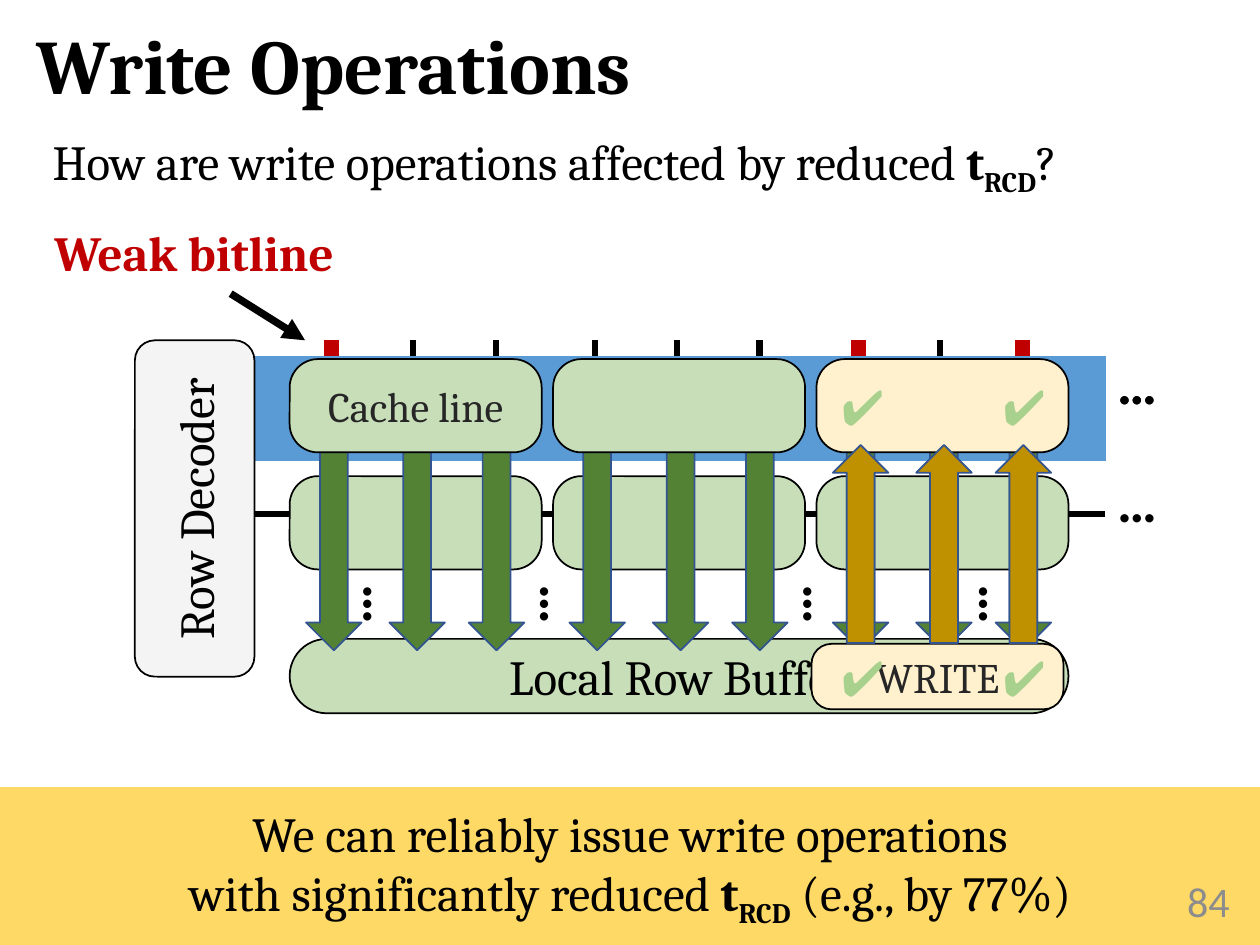
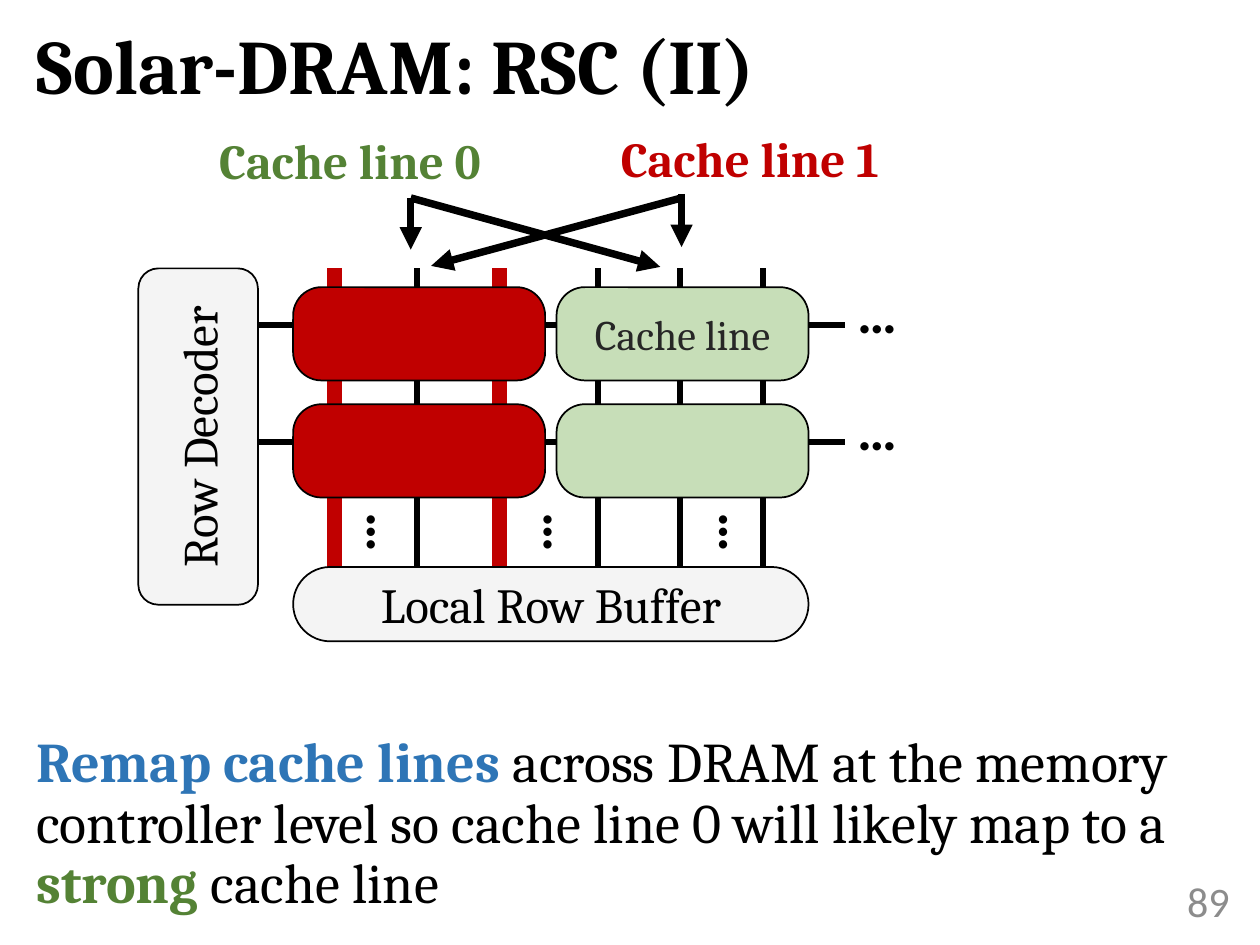
from lxml import etree
from pptx import Presentation
from pptx.dml.color import RGBColor
from pptx.enum.shapes import MSO_CONNECTOR, MSO_SHAPE
from pptx.enum.text import MSO_ANCHOR, MSO_AUTO_SIZE, PP_ALIGN
from pptx.oxml.ns import qn
from pptx.util import Cm, Pt

LEFT, CENTER, RIGHT = PP_ALIGN.LEFT, PP_ALIGN.CENTER, PP_ALIGN.RIGHT
TOP, MIDDLE = MSO_ANCHOR.TOP, MSO_ANCHOR.MIDDLE
RECT, ROUND, ARROW = MSO_SHAPE.RECTANGLE, MSO_SHAPE.ROUNDED_RECTANGLE, MSO_SHAPE.DOWN_ARROW
STRAIGHT = MSO_CONNECTOR.STRAIGHT

BLACK, INK, GREY_TEXT = "000000", "262626", "8C8C8C"
RED, GREEN, BLUE, GOLD = "C00000", "548235", "2E75B6", "BF9000"
PALE_GREEN, PALE_GREY, CREAM = "C7DEB8", "F4F4F4", "FFF1CE"
WORDLINE_BLUE, ARROW_EDGE, CHECK_GREEN, BANNER = "5B9BD5", "325491", "A9D18E", "FFD966"
SERIF, SANS = "Cambria", "Calibri"

# Subarray geometry in cm, measured from the decoder's top left corner
DECODER_W, DECODER_H = 2.41, 6.78
CELL_X, CELL_Y, CELL_W, CELL_H = 3.12, 0.38, 5.08, 1.88
COL_PITCH, ROW_PITCH = 5.31, 2.36
BIT_OFFSETS = (0.84, 2.49, 4.16)
ARROW_CENTERS = (0.89, 2.57, 4.17)
ARROW_W, ARROW_H = 1.12, 3.99
WORDLINE_Y = 1.14
BUFFER_Y, BUFFER_H = 6.02, 1.5
CELL_ROUNDING = 0.304


def rgb(color):
    return RGBColor.from_string(color)


def cms(*values):
    return [Cm(v) for v in values]


def cell_x(col):
    return CELL_X + col * COL_PITCH


def wire_end(cols):
    return cell_x(cols) + 0.5


# Basic parts
def write(tf, lines, size, color=BLACK, font=SERIF, bold=False, align=LEFT,
          anchor=TOP, spacing=None):
    """Each line is a list of (text, format) pairs; a format may hold color, bold, sub."""
    tf.vertical_anchor = anchor
    for i, runs in enumerate(lines):
        p = tf.paragraphs[0] if i == 0 else tf.add_paragraph()
        p.alignment = align
        p.space_before = Pt(0)
        if spacing:
            p.line_spacing = spacing
        for text, fmt in runs:
            r = p.add_run()
            r.text = text
            r.font.size, r.font.name = Pt(size), font
            r.font.bold = fmt.get("bold", bold)
            r.font.color.rgb = rgb(fmt.get("color", color))
            if fmt.get("sub"):
                r._r.get_or_add_rPr().set("baseline", "-25000")


def text_box(sl, box, lines, size, wrap=True, rotation=0, **style):
    sp = sl.shapes.add_textbox(*cms(*box))
    sp.rotation = rotation
    sp.text_frame.word_wrap = wrap
    write(sp.text_frame, lines, size, **style)


def label(sl, box, text, size, **style):
    text_box(sl, box, [[(text, {})]], size, wrap=False, **style)


def block(sl, kind, box, fill, edge=BLACK, rounding=None, rotation=0,
          lines=None, size=28, color=BLACK):
    sp = sl.shapes.add_shape(kind, *cms(*box))
    sp.shadow.inherit = False
    sp.fill.solid()
    sp.fill.fore_color.rgb = rgb(fill)
    sp.line.color.rgb = rgb(edge)
    sp.line.width = Pt(1)
    sp.rotation = rotation
    if rounding is not None:
        sp.adjustments[0] = rounding
    if lines:
        write(sp.text_frame, lines, size, color, align=CENTER, anchor=MIDDLE)


def line(sl, start, end, color=BLACK, width=3.5, arrow=False):
    cx = sl.shapes.add_connector(STRAIGHT, *cms(*start, *end))
    cx.line.color.rgb = rgb(color)
    cx.line.width = Pt(width)
    if arrow:
        etree.SubElement(cx.line._get_or_add_ln(), qn("a:tailEnd"), type="triangle")
    etree.SubElement(cx._element.spPr, qn("a:effectLst"))


def ellipsis(sl, x, y, rotation=0):
    label(sl, (x, y, 1.32, 1.63), "…", 32, font=SANS, bold=True, rotation=rotation)


# Slide frame: title and page number
def new_slide(prs, title, number):
    sl = prs.slides.add_slide(prs.slide_layouts[5])
    sp = sl.shapes.title
    sp.left, sp.top, sp.width, sp.height = cms(0.48, 0.38, 24.18, 2.06)
    sp.text_frame.auto_size = MSO_AUTO_SIZE.NONE
    write(sp.text_frame, [[(title, {})]], 44, bold=True, anchor=MIDDLE, spacing=0.9)
    return sl, number


def page_number(sl, number):
    text_box(sl, (17.93, 17.65, 7.11, 1.02), [[(str(number), {})]], 24,
             color=GREY_TEXT, font=SANS, align=RIGHT, anchor=MIDDLE)


# Subarray parts
def wires(sl, x, y, cols, weak):
    for row in range(2):
        wy = y + WORDLINE_Y + row * ROW_PITCH
        line(sl, (x + DECODER_W, wy), (x + wire_end(cols), wy))
        ellipsis(sl, x + wire_end(cols), wy - 1.09)
    for col in range(cols):
        for bit, offset in enumerate(BIT_OFFSETS):
            bx = x + cell_x(col) + offset
            color, width = (RED, 8.5) if (col, bit) in weak else (BLACK, 3.5)
            line(sl, (bx, y), (bx, y + BUFFER_Y + 0.3), color, width)


def more_rows(sl, x, y, cols):
    gaps = [7.95 + k * COL_PITCH for k in range(cols - 1)]
    for dx in [4.39, *gaps, 0.87 + cols * COL_PITCH]:
        ellipsis(sl, x + dx, y + 4.52, rotation=90)


def cell_row(sl, x, y, row, fills, texts=()):
    for col, fill in enumerate(fills):
        text = dict(enumerate(texts)).get(col)
        block(sl, ROUND, (x + cell_x(col), y + CELL_Y + row * ROW_PITCH, CELL_W, CELL_H),
              fill, rounding=CELL_ROUNDING, lines=[[(text, {})]] if text else None,
              size=24, color=INK)


def row_buffer(sl, x, y, cols, fill):
    width = (cols - 1) * COL_PITCH + CELL_W
    block(sl, ROUND, (x + CELL_X, y + BUFFER_Y, width, BUFFER_H), fill,
          rounding=0.5, lines=[[("Local Row Buffer", {})]])


def decoder(sl, x, y):
    # The block is turned, so its unturned box shares only the centre
    left, top = x + (DECODER_W - DECODER_H) / 2, y + (DECODER_H - DECODER_W) / 2
    block(sl, ROUND, (left, top, DECODER_H, DECODER_W), PALE_GREY, rotation=270,
          lines=[[("Row Decoder", {})]])


def data_arrows(sl, x, y, col, fill, rotation=0):
    for center in ARROW_CENTERS:
        block(sl, ARROW, (x + cell_x(col) + center - ARROW_W / 2, y, ARROW_W, ARROW_H),
              fill, edge=ARROW_EDGE, rotation=rotation)


# Diagram of a write to the third cache line
def write_diagram(sl, x, y):
    cols = 3
    wires(sl, x, y, cols, {(0, 0), (2, 0), (2, 2)})
    cell_row(sl, x, y, 1, [PALE_GREEN] * cols)

    # Activated row and its transfer to the buffer
    line(sl, (x + 1.93, y + 1.37), (x + 19.58, y + 1.37), WORDLINE_BLUE, 60)
    ellipsis(sl, x + wire_end(cols), y + WORDLINE_Y - 1.09)
    row_buffer(sl, x, y, cols, PALE_GREEN)
    for col in range(cols):
        data_arrows(sl, x, y + 2.26, col, GREEN)
    cell_row(sl, x, y, 0, [PALE_GREEN, PALE_GREEN, CREAM], ["Cache line"])
    decoder(sl, x, y)
    more_rows(sl, x, y, cols)

    # Written data going back up
    target = x + cell_x(2)
    block(sl, ROUND, (target - 0.1, y + 6.12, CELL_W, 1.32), CREAM,
          rounding=CELL_ROUNDING, lines=[[("WRITE", {})]], size=24, color=INK)
    data_arrows(sl, x, y + 2.11, 2, GOLD, rotation=180)
    for dy in (0.61, 6.07):
        for dx in (0.25, 3.51):
            label(sl, (target + dx, y + dy, 1.5, 1.45), "✔", 28,
                  color=CHECK_GREEN, font=SANS)

    # Weak bitline callout
    label(sl, (x - 1.96, y - 2.49, 6.3, 1.45), "Weak bitline", 28,
          color=RED, bold=True, align=CENTER)
    line(sl, (x + 1.93, y - 0.94), (x + 3.43, y), width=4.25, arrow=True)


# Diagram of two remapped cache lines
def remap_diagram(sl, x, y):
    cols = 2
    wires(sl, x, y, cols, {(0, 0), (0, 2)})
    for row, texts in enumerate([["", "Cache line"], []]):
        cell_row(sl, x, y, row, [RED, PALE_GREEN], texts)
    more_rows(sl, x, y, cols)
    row_buffer(sl, x, y, cols, PALE_GREY)
    decoder(sl, x, y)

    for text, color, dx, dy in (("Cache line 0", GREEN, 1.27, -2.9),
                                ("Cache line 1", RED, 9.33, -2.95)):
        label(sl, (x + dx, y + dy, 5.99, 1.45), text, 28, color=color,
              bold=True, align=CENTER)
    for x1, y1, x2, y2 in ((5.49, -1.42, 5.49, -0.38), (10.95, -1.5, 10.95, -0.43),
                           (5.49, -1.42, 10.52, -0.03), (10.95, -1.42, 5.9, -0.05)):
        line(sl, (x + x1, y + y1), (x + x2, y + y2), width=4.25, arrow=True)


# Slides
def write_slide(prs):
    sl, number = new_slide(prs, "Write Operations", 84)
    t_rcd = [("t", {"bold": True}), ("RCD", {"bold": True, "sub": True})]
    block(sl, RECT, (0, 15.88, 25.4, 3.17), BANNER, edge=BANNER, lines=[
        [("We can reliably issue write operations", {})],
        [("with significantly reduced ", {}), *t_rcd, (" (e.g., by 77%)", {})]])
    text_box(sl, (0.81, 2.54, 22.83, 2.11),
             [[("How are write operations affected by reduced ", {}), *t_rcd, ("?", {})]],
             28, spacing=0.9)
    write_diagram(sl, 2.72, 6.86)
    page_number(sl, number)


def remap_slide(prs):
    sl, number = new_slide(prs, "Solar-DRAM: RSC (II)", 89)
    remap_diagram(sl, 2.79, 5.41)
    text_box(sl, (0.48, 14.68, 24.18, 4.37), [[
        ("Remap cache lines ", {"color": BLUE, "bold": True}),
        ("across DRAM at the memory controller level so cache line 0 "
         "will likely map to a ", {}),
        ("strong", {"color": GREEN, "bold": True}),
        (" cache line", {})]], 32, spacing=0.9)
    page_number(sl, number)


def main():
    prs = Presentation()
    prs.slide_width, prs.slide_height = cms(25.4, 19.05)
    write_slide(prs)
    remap_slide(prs)
    prs.save("out.pptx")


if __name__ == "__main__":
    main()
